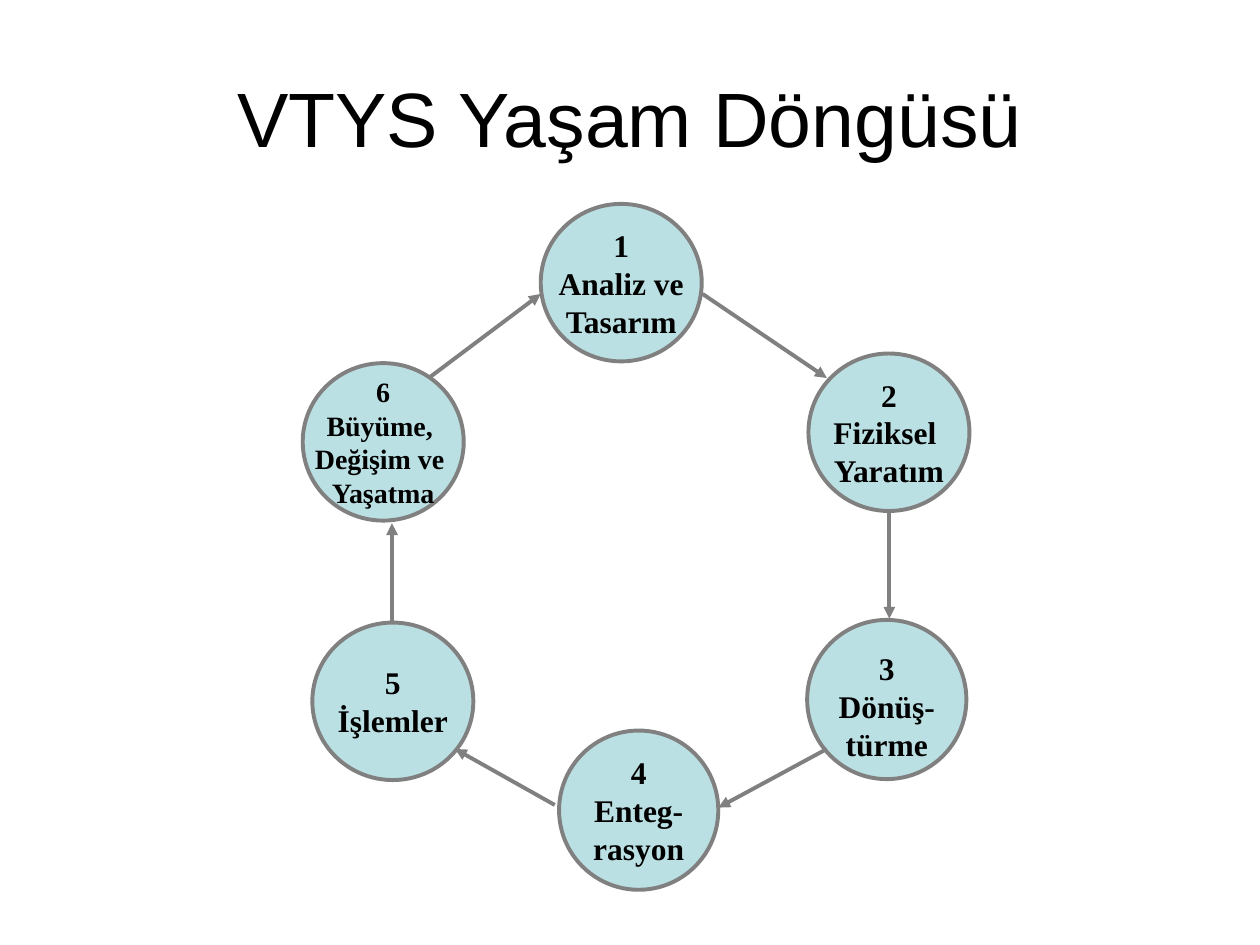
from lxml import etree
from pptx import Presentation
from pptx.dml.color import RGBColor
from pptx.enum.shapes import MSO_CONNECTOR, MSO_SHAPE
from pptx.enum.text import MSO_ANCHOR, PP_ALIGN
from pptx.oxml.ns import qn
from pptx.util import Pt

STRAIGHT = MSO_CONNECTOR.STRAIGHT
OVAL = MSO_SHAPE.OVAL
TOP, MIDDLE = MSO_ANCHOR.TOP, MSO_ANCHOR.MIDDLE
CENTER = PP_ALIGN.CENTER

BLACK = RGBColor(0x00, 0x00, 0x00)
GRAY = RGBColor(0x80, 0x80, 0x80)
PALE_TEAL = RGBColor(0xBB, 0xE0, 0xE3)

# Stages of the cycle: left, top, width, height, text size, anchor, text
STAGES = [
    (173, 207.5, 92, 90, 16, MIDDLE, "6\nBüyüme, \nDeğişim ve \nYaşatma"),
    (178.5, 355.75, 92, 90, 18, MIDDLE, "5\nİşlemler"),
    (319.5, 417.5, 91, 91, 18, MIDDLE, "4\nEnteg-\nrasyon"),
    (309, 116.5, 92, 90, 18, MIDDLE, "1\nAnaliz ve\nTasarım"),
    (461.25, 354.25, 91, 91, 18, TOP, "3\nDönüş-\ntürme"),
    (462, 202, 92, 90, 18, MIDDLE, "2\nFiziksel \nYaratım"),
]

# Arrows between stages: start x, start y, end x, end y
ARROWS = [
    (245, 216, 309, 168),
    (401.5, 168, 472.5, 216),
    (508.25, 292, 508.25, 353.5),
    (472.5, 428, 410.5, 461.5),
    (317, 460, 260, 428),
    (224, 355, 224, 299),
]


class CycleSlide:
    """Style of the deck and the page being drawn."""

    title_font = "Arial"
    stage_font = "Times New Roman"
    line_width = Pt(2.25)

    def __init__(self, deck):
        self.page = deck.slides.add_slide(deck.slide_layouts[6])

    def set_text(self, shape, text, font, size, anchor, bold, wrap):
        frame = shape.text_frame
        frame.text = text
        frame.word_wrap = wrap
        frame.vertical_anchor = anchor
        for para in frame.paragraphs:
            para.alignment = CENTER
            for span in para.runs:
                span.font.name = font
                span.font.size = Pt(size)
                span.font.bold = bold
                span.font.color.rgb = BLACK

    def title(self, left, top, width, height, text):
        box = self.page.shapes.add_textbox(
            Pt(left), Pt(top), Pt(width), Pt(height))
        self.set_text(box, text, self.title_font, 44, MIDDLE, False, True)

    def stage(self, left, top, width, height, size, anchor, text):
        circle = self.page.shapes.add_shape(
            OVAL, Pt(left), Pt(top), Pt(width), Pt(height))
        circle.shadow.inherit = False
        circle.fill.solid()
        circle.fill.fore_color.rgb = PALE_TEAL
        circle.line.color.rgb = GRAY
        circle.line.width = self.line_width
        self.set_text(circle, text, self.stage_font, size, anchor, True, False)

    def arrow(self, *ends):
        connector = self.page.shapes.add_connector(
            STRAIGHT, *(Pt(value) for value in ends))
        connector.line.color.rgb = GRAY
        connector.line.width = self.line_width
        properties = connector.element.spPr
        outline = properties.find(qn("a:ln"))
        etree.SubElement(outline, qn("a:tailEnd"), type="triangle")
        etree.SubElement(properties, qn("a:effectLst"))


def main():
    deck = Presentation()
    deck.slide_width, deck.slide_height = Pt(720), Pt(540)
    slide = CycleSlide(deck)

    # Circles, then the arrows around the ring
    for stage in STAGES:
        slide.stage(*stage)
    for arrow in ARROWS:
        slide.arrow(*arrow)

    # Heading
    slide.title(36, 21.6, 648, 90, "VTYS Yaşam Döngüsü")

    deck.save("out.pptx")


if __name__ == "__main__":
    main()
